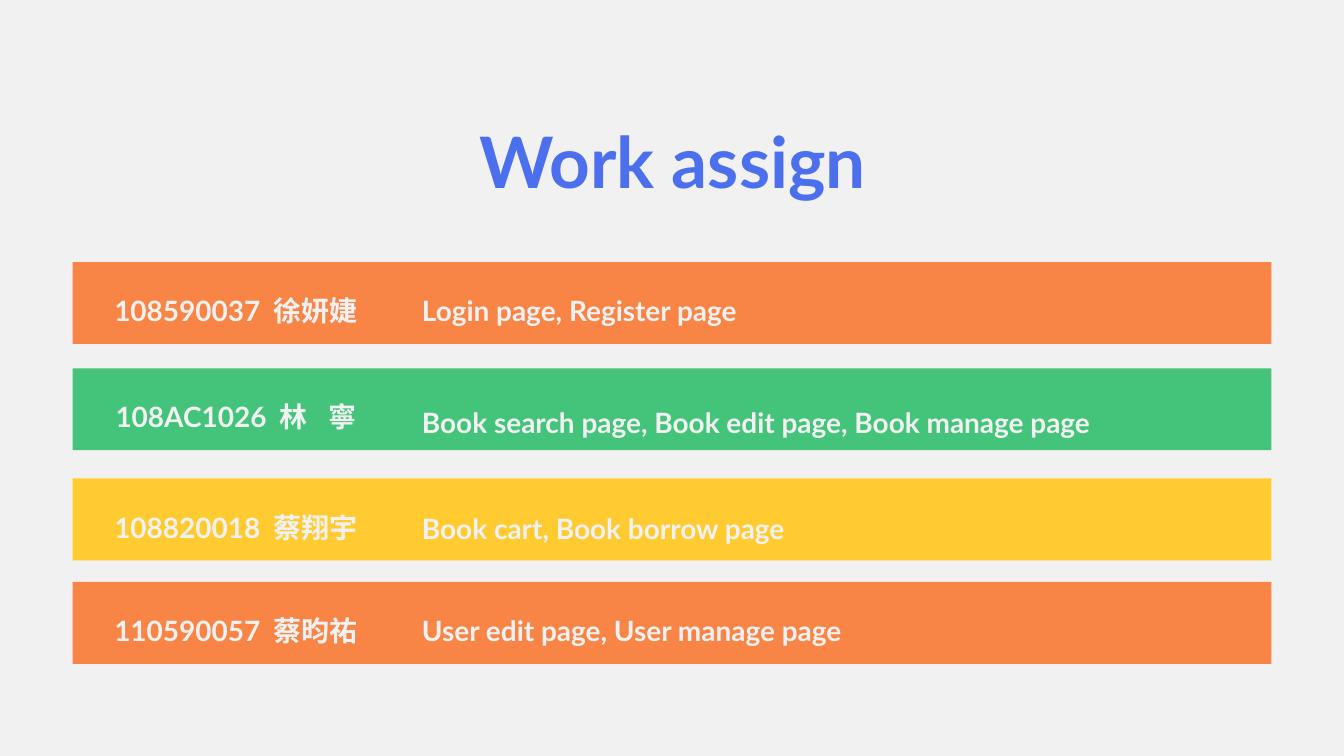
"""Build the work assignment slide: one coloured bar per team member."""
from pptx import Presentation
from pptx.dml.color import RGBColor
from pptx.enum.shapes import MSO_SHAPE
from pptx.enum.text import MSO_ANCHOR, MSO_AUTO_SIZE, PP_ALIGN
from pptx.util import Inches, Pt

RECT = MSO_SHAPE.RECTANGLE
BOTTOM = MSO_ANCHOR.BOTTOM
NO_FIT, GROW = MSO_AUTO_SIZE.NONE, MSO_AUTO_SIZE.SHAPE_TO_FIT_TEXT
LEFT, CENTER = PP_ALIGN.LEFT, PP_ALIGN.CENTER

FONT = "Lato"
COLORS = {
    "light": "F1F1F1",
    "title": "4B6FED",
    "orange": "F88545",
    "green": "43C47A",
    "yellow": "FFCB30",
}
TITLE = "Work assign"
MEMBERS = [
    # bar top, colour, member, tasks top, tasks
    (1.95, "orange", ("108590037", "徐妍婕"), 2.11, "Login page, Register page"),
    (2.74, "green", ("108AC1026", "林", "寧"), 2.94,
     "Book search page, Book edit page, Book manage page"),
    (3.56, "yellow", ("108820018", "蔡翔宇"), 3.73, "Book cart, Book borrow page"),
    (4.33, "orange", ("110590057", "蔡昀祐"), 4.49, "User edit page, User manage page"),
]
SLIDE_WIDTH = 10
SLIDE_HEIGHT = SLIDE_WIDTH * 9 / 16
BAR_LEFT, BAR_WIDTH, BAR_HEIGHT = 0.54, 8.92, 0.61
MEMBER_LEFT, MEMBER_WIDTH, MEMBER_OFFSET = 0.72, 2.07, 0.16
TASKS_LEFT, TASKS_WIDTH = 3.14, 6.13
TEXT_HEIGHT = 0.25
GAP_SPACINGS = ("330", "760")


def rgb(name):
    return RGBColor.from_string(COLORS[name])


def format_text(tf, size, color, align, spacing, fit):
    tf.margin_left = tf.margin_top = tf.margin_right = tf.margin_bottom = 0
    tf.word_wrap = True
    tf.auto_size = fit
    p = tf.paragraphs[0]
    p.alignment = align
    p.line_spacing = spacing
    p.font.name = FONT
    p.font.size = Pt(size)
    p.font.bold = True
    p.font.color.rgb = rgb(color)
    return p


def add_text(s, left, top, width, parts, align):
    box = s.shapes.add_textbox(
        Inches(left), Inches(top), Inches(width), Inches(TEXT_HEIGHT))
    p = format_text(box.text_frame, 15, "light", align, 1.3, GROW)
    p.add_run().text = parts[0]
    for part, spacing in zip(parts[1:], GAP_SPACINGS):
        gap = p.add_run()
        gap.text = " "
        gap.font._element.set("spc", spacing)
        p.add_run().text = part


def add_bar(s, top, color):
    sp = s.shapes.add_shape(
        RECT, Inches(BAR_LEFT), Inches(top), Inches(BAR_WIDTH), Inches(BAR_HEIGHT))
    sp.shadow.inherit = False
    sp.fill.solid()
    sp.fill.fore_color.rgb = rgb(color)
    sp.line.fill.background()


def add_title(s):
    title = s.shapes.title
    title.left, title.top = Inches(0.94), Inches(1.09)
    title.width, title.height = Inches(8.13), Inches(0.43)
    tf = title.text_frame
    tf.text = TITLE
    tf.vertical_anchor = BOTTOM
    format_text(tf, 38, "title", CENTER, 0.9, NO_FIT)


def main():
    prs = Presentation()
    prs.slide_width, prs.slide_height = Inches(SLIDE_WIDTH), Inches(SLIDE_HEIGHT)
    s = prs.slides.add_slide(prs.slide_layouts[5])
    s.background.fill.solid()
    s.background.fill.fore_color.rgb = rgb("light")
    add_title(s)
    for top, color, member, tasks_top, tasks in MEMBERS:
        add_bar(s, top, color)
        add_text(s, MEMBER_LEFT, top + MEMBER_OFFSET, MEMBER_WIDTH, member, CENTER)
        add_text(s, TASKS_LEFT, tasks_top, TASKS_WIDTH, [tasks], LEFT)
    prs.save("out.pptx")


if __name__ == "__main__":
    main()
